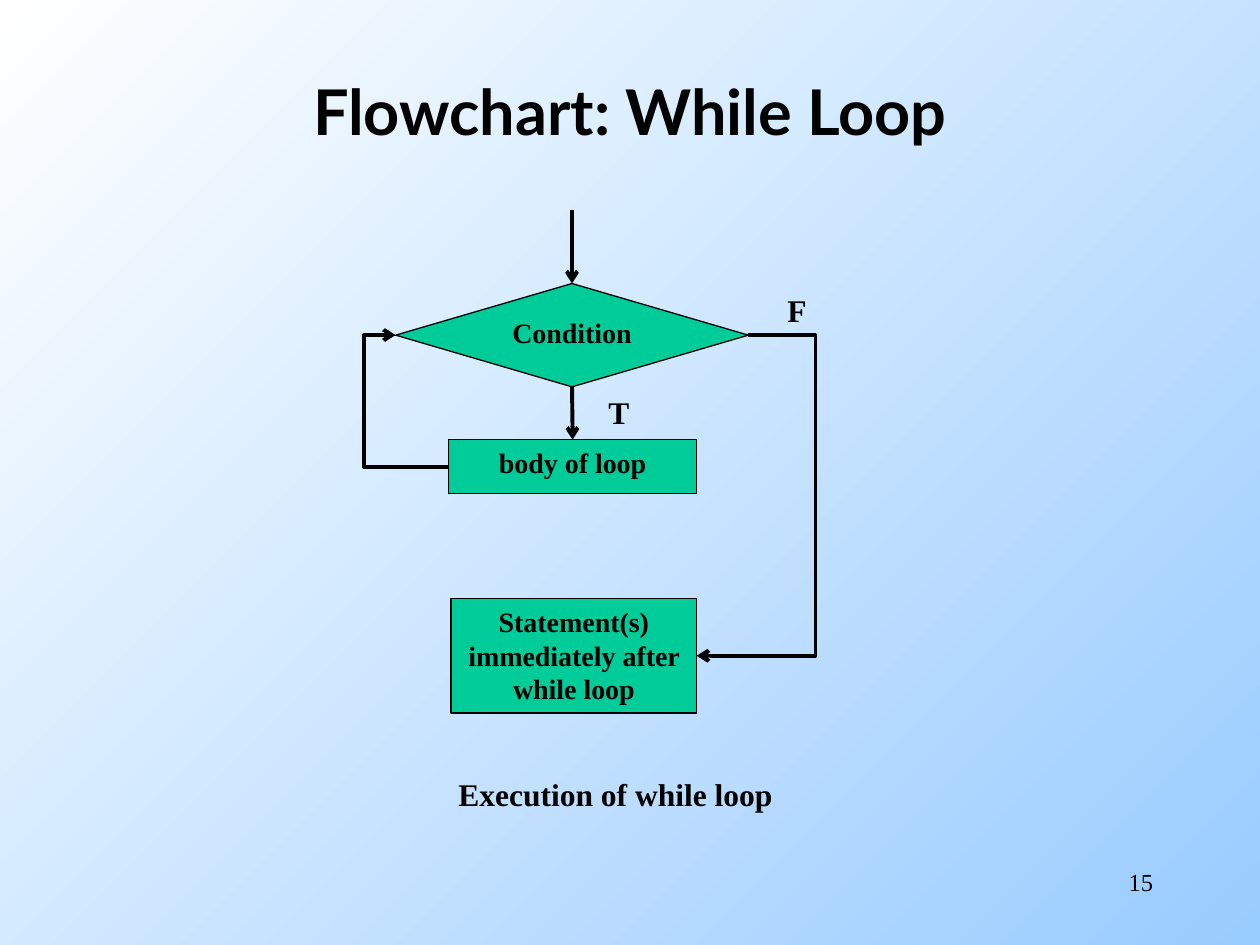
from lxml.etree import SubElement
from pptx import Presentation
from pptx.dml.color import RGBColor
from pptx.enum.shapes import MSO_CONNECTOR, MSO_SHAPE
from pptx.enum.text import MSO_ANCHOR, PP_ALIGN
from pptx.oxml.ns import qn
from pptx.util import Inches, Pt

WHITE = RGBColor(0xFF, 0xFF, 0xFF)
SKY = RGBColor(0x99, 0xCC, 0xFF)
GREEN = RGBColor(0x00, 0xCC, 0x99)
BLACK = RGBColor(0x00, 0x00, 0x00)
SERIF = "Times New Roman"
TOP, LEFT, BOTTOM, RIGHT = range(4)  # connection sites of boxes and diamonds


def box(*lengths):
    return [Inches(v) for v in lengths]


def set_background(s):
    fill = s.background.fill
    fill.gradient()
    fill.gradient_angle = 315
    for stop, position, color in zip(fill.gradient_stops, (0, 1), (WHITE, SKY)):
        stop.position = position
        stop.color.rgb = color


def write(tf, text, size, align, name=SERIF, bold=True):
    p = tf.paragraphs[0]
    p.alignment = align
    r = p.add_run()
    r.text = text
    for key, value in {"name": name, "size": Pt(size), "bold": bold}.items():
        setattr(r.font, key, value)
    r.font.color.rgb = BLACK


def add_title(s, text):
    sp = s.shapes.title
    sp.left, sp.top, sp.width, sp.height = box(0.75, 0.25, 8.5, 1.25)
    sp.text_frame.vertical_anchor = MSO_ANCHOR.MIDDLE
    write(sp.text_frame, text, 36, PP_ALIGN.CENTER, "Lato")


def add_label(s, text, at, size=18, align=PP_ALIGN.LEFT, bold=True, wrap=False):
    tf = s.shapes.add_textbox(*box(*at)).text_frame
    tf.word_wrap = wrap
    write(tf, text, size, align, bold=bold)


def add_step(s, text, at, kind=MSO_SHAPE.RECTANGLE):
    sp = s.shapes.add_shape(kind, *box(*at))
    sp.shadow.inherit = False
    sp.fill.solid()
    sp.fill.fore_color.rgb = GREEN
    sp.line.color.rgb = BLACK
    sp.line.width = Pt(0.75)
    sp.text_frame.word_wrap = True
    sp.text_frame.vertical_anchor = MSO_ANCHOR.TOP
    write(sp.text_frame, text, 16, PP_ALIGN.CENTER)
    return sp


def add_arrow(s, start=(0, 0), end=(0, 0), begin=None, finish=None, bend=None):
    """Join points or (shape, site) pairs; bend is the elbow's share of the width."""
    kind = MSO_CONNECTOR.STRAIGHT if bend is None else MSO_CONNECTOR.ELBOW
    c = s.shapes.add_connector(kind, *box(*start, *end))
    if begin:
        c.begin_connect(*begin)
    if finish:
        c.end_connect(*finish)
    c.line.color.rgb = BLACK
    c.line.width = Pt(2.25)
    spPr = c._element.spPr
    SubElement(spPr.find(qn("a:ln")), qn("a:tailEnd"), type="arrow")
    SubElement(spPr, qn("a:effectLst"))
    if bend is not None:
        guides = spPr.find(qn("a:prstGeom")).get_or_add_avLst()
        SubElement(guides, qn("a:gd"), name="adj1", fmla=f"val {round(bend * 100000)}")


def main():
    prs = Presentation()
    prs.slide_width, prs.slide_height = box(10, 7.5)
    s = prs.slides.add_slide(prs.slide_layouts[5])
    set_background(s)
    add_title(s, "Flowchart: While Loop")

    condition = add_step(s, "Condition", (3.14, 2.25, 2.8, 0.82),
                         MSO_SHAPE.FLOWCHART_DECISION)
    body = add_step(s, "body of loop", (3.56, 3.49, 1.97, 0.43))
    after = add_step(s, "Statement(s) immediately after while loop",
                     (3.58, 4.75, 1.95, 0.91))

    add_arrow(s, (4.54, 1.67), (4.54, 2.25), finish=(condition, TOP))
    add_arrow(s, begin=(condition, BOTTOM), finish=(body, TOP))
    add_arrow(s, begin=(body, LEFT), finish=(condition, LEFT), bend=1.6)
    add_arrow(s, begin=(condition, RIGHT), finish=(after, RIGHT), bend=-1.3)

    add_label(s, "T", (4.73, 3.07, 0.36, 0.4))
    add_label(s, "F", (6.15, 2.26, 0.35, 0.4))
    add_label(s, "Execution of while loop", (3.54, 6.1, 2.69, 0.4))
    add_label(s, "15", (7.17, 6.83, 2.08, 0.5), 14, PP_ALIGN.RIGHT, False, True)
    prs.save("out.pptx")


if __name__ == "__main__":
    main()
